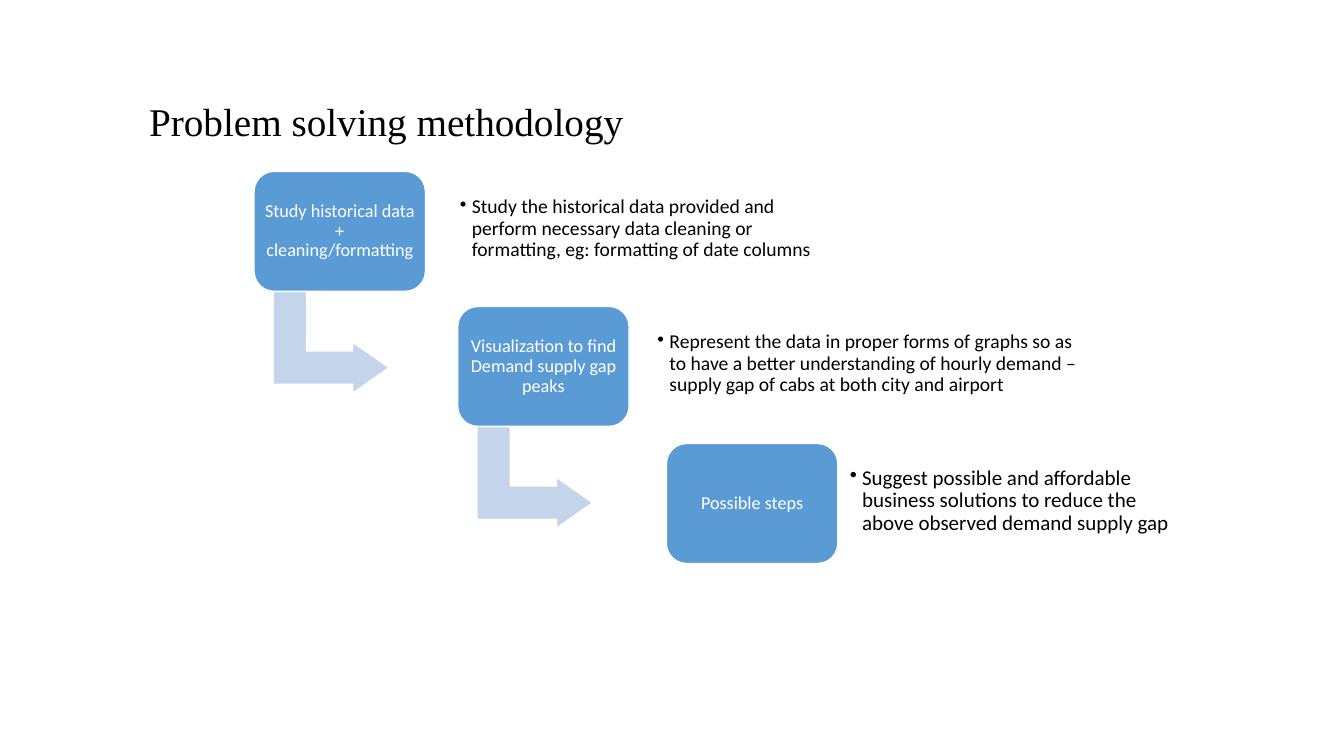
from lxml import etree
from pptx import Presentation
from pptx.dml.color import RGBColor
from pptx.enum.shapes import MSO_SHAPE
from pptx.enum.text import MSO_ANCHOR, MSO_AUTO_SIZE, PP_ALIGN
from pptx.oxml.ns import qn
from pptx.util import Inches, Pt

ROUNDED, BENT_ARROW = MSO_SHAPE.ROUNDED_RECTANGLE, MSO_SHAPE.BENT_UP_ARROW
MIDDLE, NO_FIT = MSO_ANCHOR.MIDDLE, MSO_AUTO_SIZE.NONE
LEFT, CENTER = PP_ALIGN.LEFT, PP_ALIGN.CENTER
BLUE = RGBColor(0x5B, 0x9B, 0xD5)
PALE_BLUE = RGBColor(0xC4, 0xD5, 0xEB)
WHITE = RGBColor(0xFF, 0xFF, 0xFF)
BLACK = RGBColor(0, 0, 0)

TITLE = "Problem solving methodology"
STEPS = [
    {"label": "Study historical data + cleaning/formatting",
     "detail": "Study the historical data provided and perform necessary data "
               "cleaning or formatting, eg: formatting of date columns",
     "at": (2.52, 1.7), "detail_left": 4.5, "detail_width": 3.79,
     "size": 14, "inset": 0.06},
    {"label": "Visualization to find Demand supply gap peaks",
     "detail": "Represent the data in proper forms of graphs so as to have a "
               "better understanding of hourly demand – supply gap of cabs at "
               "both city and airport",
     "at": (4.54, 3.04), "detail_left": 6.46, "detail_width": 4.41,
     "size": 14, "inset": 0.06},
    {"label": "Possible steps",
     "detail": "Suggest possible and affordable business solutions to reduce "
               "the above observed demand supply gap",
     "at": (6.61, 4.4), "detail_left": 8.35, "detail_width": 3.36,
     "size": 15, "inset": 0.08},
]
BOX_WIDTH, BOX_HEIGHT = 1.7, 1.19
ARROW_WIDTH, ARROW_HEIGHT = 1.01, 1.15
ARROW_SHIFT = (0.26, 1.12)
DETAIL_HEIGHT = 0.96
BULLET_INDENT = Inches(0.12)


def add_run(para, text, size, color, font="Calibri", bold=False):
    span = para.add_run()
    span.text = text
    for name, value in {"name": font, "size": Pt(size), "bold": bold}.items():
        setattr(span.font, name, value)
    span.font.color.rgb = color


def prepare_frame(frame, inset, align):
    """Set wrapping, margins and alignment; return the first paragraph."""
    margins = {f"margin_{side}": Inches(inset)
               for side in ("left", "top", "right", "bottom")}
    formats = {"word_wrap": True, "auto_size": NO_FIT,
               "vertical_anchor": MIDDLE, **margins}
    for name, value in formats.items():
        setattr(frame, name, value)
    para = frame.paragraphs[0]
    para.alignment, para.line_spacing = align, 0.9
    return para


def add_filled(page, kind, left, top, width, height, color, adjustments):
    shape = page.shapes.add_shape(kind, *map(Inches, (left, top, width, height)))
    shape.shadow.inherit = False
    shape.fill.solid()
    shape.fill.fore_color.rgb = color
    shape.line.color.rgb = WHITE
    shape.line.width = Pt(1)
    for index, value in enumerate(adjustments):
        shape.adjustments[index] = value
    return shape


def add_step(page, step, has_next):
    left, top = step["at"]
    if has_next:
        arrow = add_filled(page, BENT_ARROW, left + ARROW_SHIFT[0],
                           top + ARROW_SHIFT[1], ARROW_WIDTH, ARROW_HEIGHT,
                           PALE_BLUE, (0.328, 0.25, 0.358))
        arrow.rotation = 90
    box = add_filled(page, ROUNDED, left, top, BOX_WIDTH, BOX_HEIGHT, BLUE, (0.167,))
    para = prepare_frame(box.text_frame, 0.05, CENTER)
    add_run(para, step["label"], 13, WHITE)

    detail_top = top + 0.09
    detail = page.shapes.add_textbox(*map(Inches, (
        step["detail_left"], detail_top, step["detail_width"], DETAIL_HEIGHT)))
    para = prepare_frame(detail.text_frame, step["inset"], LEFT)
    add_run(para, step["detail"], step["size"], BLACK)
    properties = para._p.get_or_add_pPr()
    properties.set("marL", str(BULLET_INDENT))
    properties.set("indent", str(-BULLET_INDENT))
    etree.SubElement(properties, qn("a:buChar")).set("char", "•")


def main():
    deck = Presentation()
    deck.slide_width, deck.slide_height = Inches(13.33), Inches(7.5)
    page = deck.slides.add_slide(deck.slide_layouts[5])

    title = page.shapes.title
    place = {"left": 1.24, "top": 0.7, "width": 10.19, "height": 0.94}
    for name, value in place.items():
        setattr(title, name, Inches(value))
    para = prepare_frame(title.text_frame, 0.1, LEFT)
    add_run(para, " ", 40, BLACK, "Times New Roman", True)
    add_run(para, TITLE, 28, BLACK, "Times New Roman")

    for number, step in enumerate(STEPS, 1):
        add_step(page, step, number < len(STEPS))
    deck.save("out.pptx")


if __name__ == "__main__":
    main()
